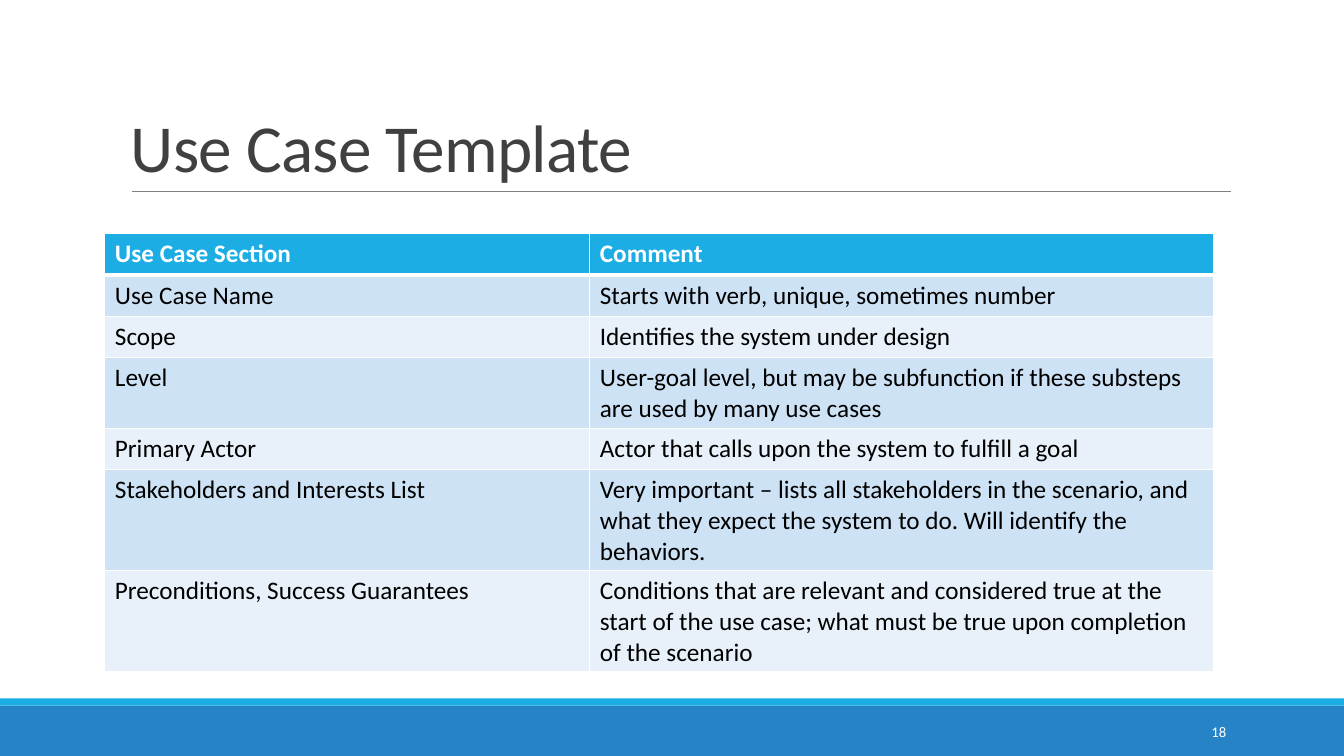
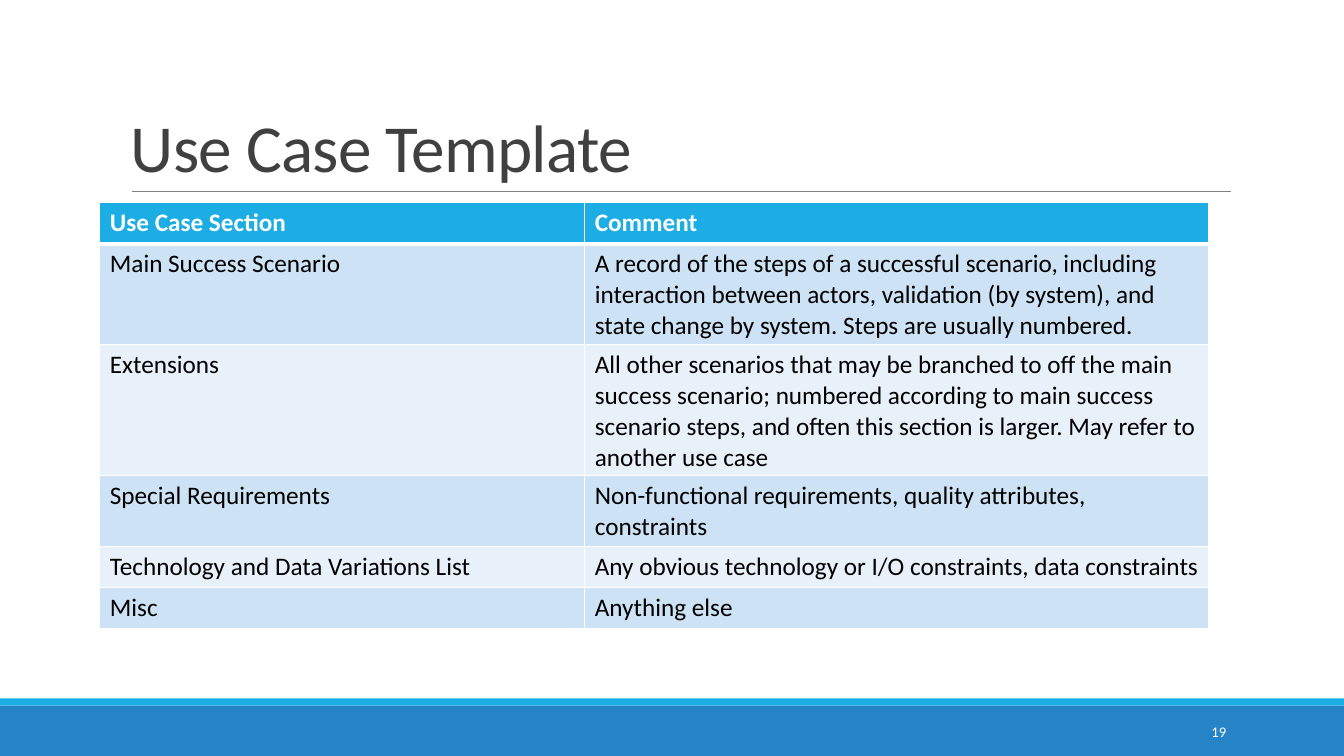
from lxml.etree import SubElement
from pptx import Presentation
from pptx.dml.color import RGBColor
from pptx.enum.shapes import MSO_CONNECTOR, MSO_SHAPE
from pptx.enum.text import MSO_ANCHOR, PP_ALIGN
from pptx.oxml.ns import qn
from pptx.util import Inches, Pt

COLORS = {
    "band": "2683C6",
    "accent": "1CADE4",
    "rule": "808080",
    "title": "404040",
    "white": "FFFFFF",
    "black": "000000",
    "odd_row": "CDE3F5",
    "even_row": "E8F1FA",
}
FORMATS = {
    "title": {"size": Pt(48), "bold": False, "color": "title"},
    "header": {"size": Pt(18), "bold": True, "color": "white"},
    "body": {"size": Pt(18), "bold": False, "color": "black"},
    "number": {"size": Pt(10.5), "bold": False, "color": "white"},
}
HEADINGS = ("Use Case Section", "Comment")
COLUMN_WIDTHS = (4.81, 6.19)
ROW_HEIGHT = 0.41

SLIDES = [
    {
        "number": 18,
        "left": 1.04,
        "top": 2.32,
        "rows": [
            ("Use Case Name", "Starts with verb, unique, sometimes number"),
            ("Scope", "Identifies the system under design"),
            ("Level", "User-goal level, but may be subfunction if these substeps "
                      "are used by many use cases"),
            ("Primary Actor", "Actor that calls upon the system to fulfill a goal"),
            ("Stakeholders and Interests List",
             "Very important – lists all stakeholders in the scenario, and what they "
             "expect the system to do. Will identify the behaviors."),
            ("Preconditions, Success Guarantees",
             "Conditions that are relevant and considered true at the start of the use "
             "case; what must be true upon completion of the scenario"),
        ],
    },
    {
        "number": 19,
        "left": 0.99,
        "top": 2.01,
        "rows": [
            ("Main Success Scenario",
             "A record of the steps of a successful scenario, including interaction "
             "between actors, validation (by system), and state change by system. "
             "Steps are usually numbered."),
            ("Extensions",
             "All other scenarios that may be branched to off the main success scenario; "
             "numbered according to main success scenario steps, and often this section "
             "is larger. May refer to another use case"),
            ("Special Requirements",
             "Non-functional requirements, quality attributes, constraints"),
            ("Technology and Data Variations List",
             "Any obvious technology or I/O constraints, data constraints"),
            ("Misc", "Anything else"),
        ],
    },
]


def color(name):
    return RGBColor.from_string(COLORS[name])


class Deck:
    font_name = "Calibri"

    def __init__(self):
        self.presentation = Presentation()
        self.presentation.slide_width = Inches(13.33)
        self.presentation.slide_height = Inches(7.5)
        self.slide = None

    def add_slide(self, title, number):
        self.slide = self.presentation.slides.add_slide(self.presentation.slide_layouts[6])
        self.add_band(7, 0.5, "band")
        self.add_band(6.93, 0.07, "accent")
        self.add_rule(1.31, 12.21, 1.9)
        self.add_title(title)
        self.add_text(str(number), (10.83, 7.06, 1.43, 0.4), "number",
                      MSO_ANCHOR.MIDDLE, alignment=PP_ALIGN.RIGHT)

    def add_band(self, top, height, fill):
        shape = self.slide.shapes.add_shape(
            MSO_SHAPE.RECTANGLE, 0, Inches(top), self.presentation.slide_width, Inches(height))
        shape.shadow.inherit = False
        shape.fill.solid()
        shape.fill.fore_color.rgb = color(fill)
        shape.line.fill.background()

    def add_rule(self, left, right, top):
        connector = self.slide.shapes.add_connector(
            MSO_CONNECTOR.STRAIGHT, Inches(left), Inches(top), Inches(right), Inches(top))
        connector.line.color.rgb = color("rule")
        connector.line.width = Pt(0.5)
        SubElement(connector._element.spPr, qn("a:effectLst"))

    def add_title(self, text):
        run = self.add_text(text, (1.2, 0.31, 11, 1.59), "title",
                            MSO_ANCHOR.BOTTOM, line_spacing=0.85)
        run._r.get_or_add_rPr().set("spc", "-50")

    def add_text(self, text, box, style, anchor, **paragraph_format):
        shape = self.slide.shapes.add_textbox(*map(Inches, box))
        shape.text_frame.word_wrap = True
        shape.text_frame.vertical_anchor = anchor
        return self.set_text(shape.text_frame, text, style, **paragraph_format)

    def set_text(self, text_frame, text, style, **paragraph_format):
        paragraph = text_frame.paragraphs[0]
        for name, value in paragraph_format.items():
            setattr(paragraph, name, value)
        run = paragraph.add_run()
        run.text = text
        run.font.name = self.font_name
        for name, value in FORMATS[style].items():
            if name == "color":
                run.font.color.rgb = color(value)
            else:
                setattr(run.font, name, value)
        return run

    def add_table(self, left, top, rows):
        table = self.slide.shapes.add_table(
            len(rows), len(COLUMN_WIDTHS), Inches(left), Inches(top),
            Inches(sum(COLUMN_WIDTHS)), Inches(ROW_HEIGHT * len(rows))).table
        for column, width in zip(table.columns, COLUMN_WIDTHS):
            column.width = Inches(width)
        for row_index, texts in enumerate(rows):
            table.rows[row_index].height = Inches(ROW_HEIGHT)
            for cell, text in zip(table.rows[row_index].cells, texts):
                self.fill_cell(cell, text, row_index)

    def fill_cell(self, cell, text, row_index):
        is_header = row_index == 0
        self.add_borders(cell, top=3 if row_index == 1 else 1, bottom=3 if is_header else 1)
        fill = "accent" if is_header else ("even_row", "odd_row")[row_index % 2]
        cell.fill.solid()
        cell.fill.fore_color.rgb = color(fill)
        self.set_text(cell.text_frame, text, "header" if is_header else "body")

    def add_borders(self, cell, top, bottom):
        properties = cell._tc.get_or_add_tcPr()
        for side, width in (("L", 1), ("R", 1), ("T", top), ("B", bottom)):
            line = SubElement(properties, qn(f"a:ln{side}"), w=str(Pt(width)))
            fill = SubElement(line, qn("a:solidFill"))
            SubElement(fill, qn("a:srgbClr"), val=COLORS["white"])


def main():
    deck = Deck()
    for content in SLIDES:
        deck.add_slide("Use Case Template", content["number"])
        deck.add_table(content["left"], content["top"], [HEADINGS, *content["rows"]])
    deck.presentation.save("out.pptx")


if __name__ == "__main__":
    main()
